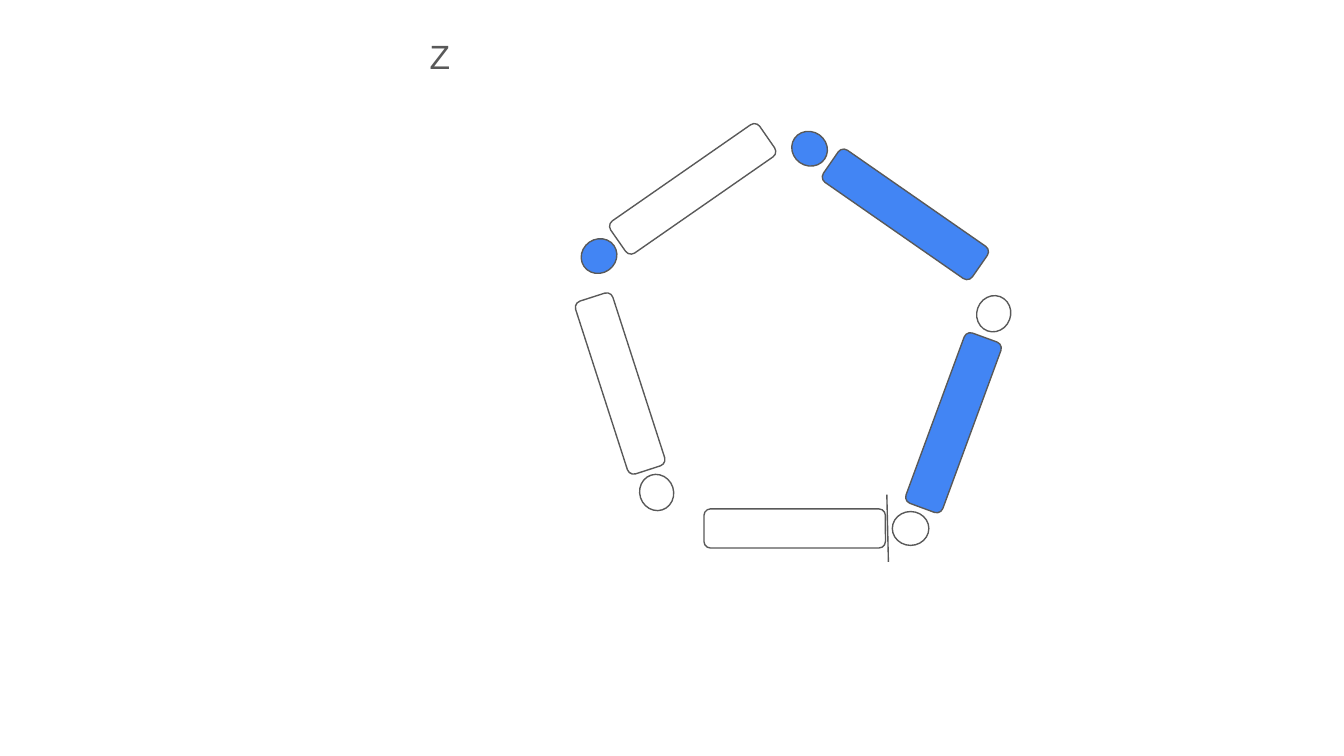
from typing import NamedTuple

from lxml import etree
from pptx import Presentation
from pptx.dml.color import RGBColor
from pptx.enum.shapes import MSO_CONNECTOR, MSO_SHAPE
from pptx.enum.text import MSO_AUTO_SIZE
from pptx.oxml.ns import qn
from pptx.util import Cm, Pt

BAR = MSO_SHAPE.ROUNDED_RECTANGLE
DOT = MSO_SHAPE.OVAL
LINE = MSO_CONNECTOR.STRAIGHT
GROW = MSO_AUTO_SIZE.SHAPE_TO_FIT_TEXT

GREY, BLUE, WHITE = "595959", "4285F4", "FFFFFF"
SIZES = {BAR: (3.43, 0.74), DOT: (0.69, 0.64)}


class Side(NamedTuple):
    """One side of the ring: a bar and its dot, by centre in cm."""
    turn: float
    bar: tuple[float, float]
    bar_fill: str
    dot: tuple[float, float]
    dot_fill: str


SIDES = [
    Side(0, (15.02, 9.99), WHITE, (17.21, 9.99), WHITE),
    Side(290.2, (18.02, 7.99), BLUE, (18.78, 5.93), WHITE),
    Side(214.8, (17.11, 4.05), BLUE, (15.3, 2.81), BLUE),
    Side(72.1, (11.72, 7.25), WHITE, (12.41, 9.31), WHITE),
    Side(145.2, (13.09, 3.57), WHITE, (11.32, 4.84), BLUE),
]


def paint(color, tone: str) -> None:
    color.rgb = RGBColor.from_string(tone)


def outline(line) -> None:
    paint(line.color, GREY)
    line.width = Pt(0.75)


def add_part(slide, kind, mid: tuple[float, float], turn: float, tone: str) -> None:
    """Draw a bar or dot around its centre."""
    wide, high = SIZES[kind]
    part = slide.shapes.add_shape(
        kind, Cm(mid[0] - wide / 2), Cm(mid[1] - high / 2), Cm(wide), Cm(high))
    part.rotation = turn
    part.shadow.inherit = False
    part.fill.solid()
    paint(part.fill.fore_color, tone)
    outline(part.line)


def add_side(slide, side: Side) -> None:
    add_part(slide, BAR, side.bar, side.turn, side.bar_fill)
    add_part(slide, DOT, side.dot, side.turn, side.dot_fill)


def add_mark(slide) -> None:
    """Draw the thin line between the lowest bar and its dot."""
    mark = slide.shapes.add_connector(LINE, Cm(16.76), Cm(9.35), Cm(16.79), Cm(10.62))
    outline(mark.line)
    etree.SubElement(mark._element.spPr, qn("a:effectLst"))


def add_label(slide, text: str) -> None:
    box = slide.shapes.add_textbox(Cm(7.87), Cm(0.43), Cm(10.16), Cm(1.27))
    frame = box.text_frame
    frame.word_wrap = True
    frame.auto_size = GROW
    frame.margin_left = frame.margin_right = Cm(0.25)
    frame.margin_top = frame.margin_bottom = Cm(0.25)
    frame.text = text
    font = frame.paragraphs[0].runs[0].font
    font.name = "Arial"
    font.size = Pt(18)
    paint(font.color, GREY)


def main() -> None:
    deck = Presentation()
    deck.slide_width, deck.slide_height = Cm(25.4), Cm(14.29)
    slide = deck.slides.add_slide(deck.slide_layouts[6])
    for side in SIDES:
        add_side(slide, side)
    add_mark(slide)
    add_label(slide, "Z")
    deck.save("out.pptx")


if __name__ == "__main__":
    main()
